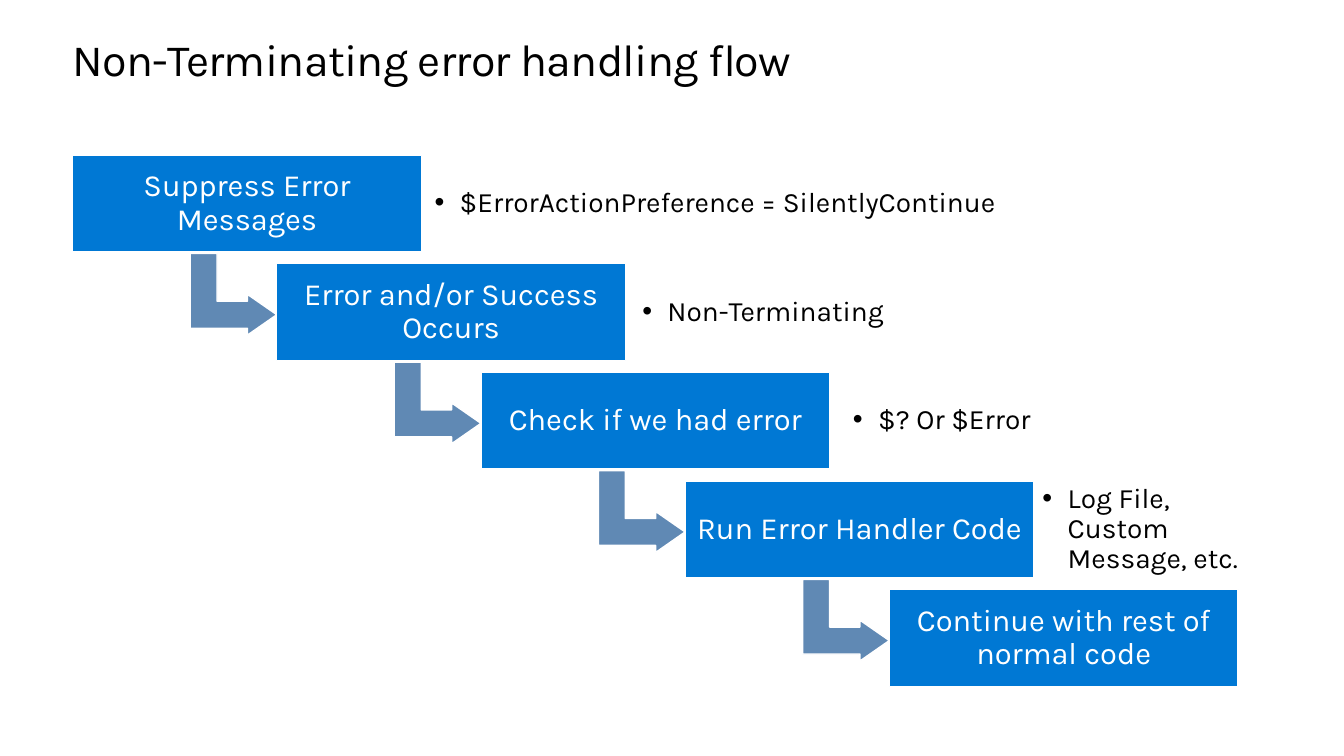
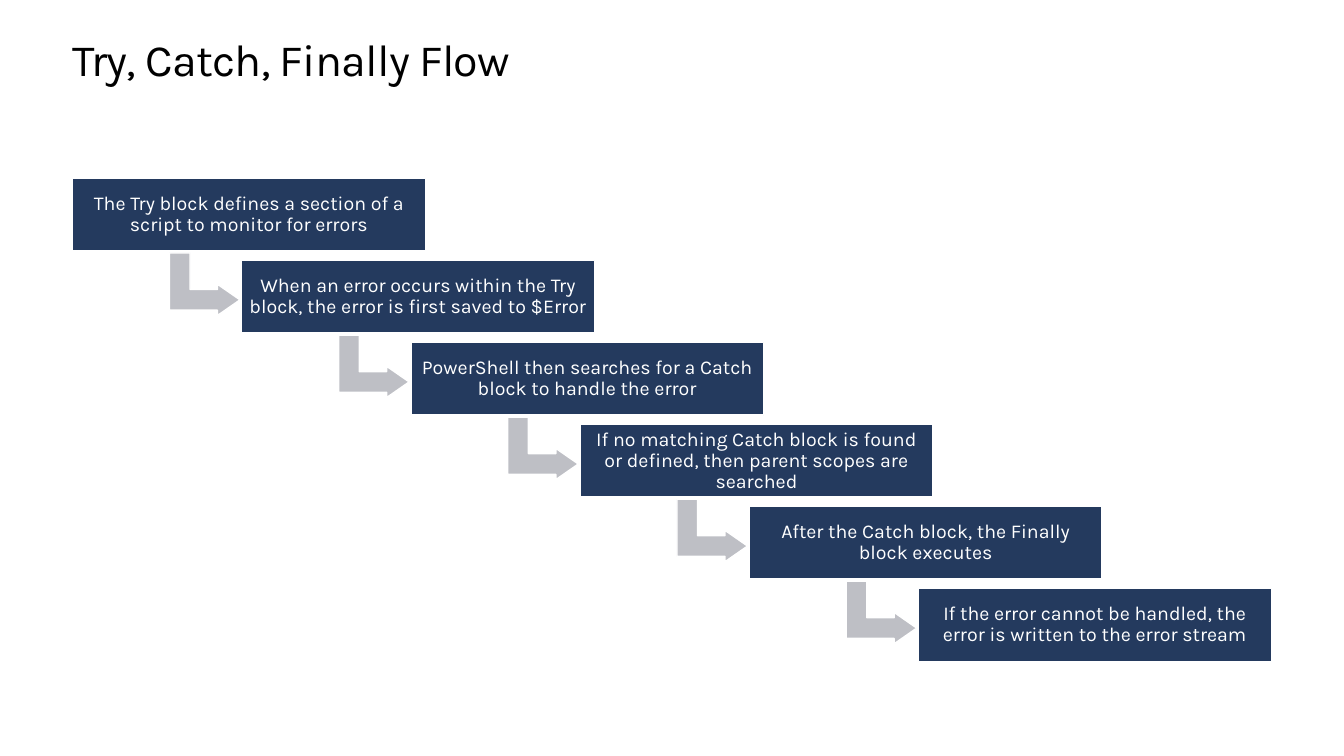
"""Build two slides that show error handling as descending steps."""
from typing import NamedTuple

from lxml.etree import SubElement
from pptx import Presentation
from pptx.dml.color import RGBColor
from pptx.enum.shapes import MSO_SHAPE
from pptx.enum.text import MSO_ANCHOR, MSO_AUTO_SIZE, PP_ALIGN
from pptx.oxml.ns import qn
from pptx.util import Inches, Pt

FONT_NAME = "Karla"
BLACK = RGBColor(0x00, 0x00, 0x00)
WHITE = RGBColor(0xFF, 0xFF, 0xFF)
BLUE = RGBColor(0x00, 0x78, 0xD4)
STEEL = RGBColor(0x60, 0x89, 0xB4)
NAVY = RGBColor(0x24, 0x3A, 0x5E)
GRAY = RGBColor(0xBE, 0xBF, 0xC5)

TITLE_ONLY_LAYOUT = 5
ARROW_ADJUSTMENTS = (0.33, 0.25, 0.36)
NOTE_HEIGHT = 0.78
NOTE_INSET = 0.08
NOTE_INDENT = 0.25


class StaircaseStyle(NamedTuple):
    """Geometry in inches, text size in points, and colours of a staircase."""

    first: tuple
    last: tuple
    box_size: tuple
    arrow_offset: tuple
    arrow_size: tuple
    inset: float
    text_size: int
    box_color: RGBColor
    arrow_color: RGBColor


ERROR_STYLE = StaircaseStyle(
    (0.72, 1.54), (8.82, 5.85), (3.46, 0.96), (1.19, 0.95), (0.81, 0.86),
    0.09, 22, BLUE, STEEL)
TRY_STYLE = StaircaseStyle(
    (0.72, 1.77), (9.11, 5.84), (3.5, 0.72), (1, 0.7), (0.62, 0.7),
    0.06, 14, NAVY, GRAY)

ERROR_STEPS = (
    "Suppress Error Messages",
    "Error and/or Success Occurs",
    "Check if we had error",
    "Run Error Handler Code",
    "Continue with rest of normal code",
)
ERROR_NOTES = (
    ("$ErrorActionPreference = SilentlyContinue", 4.23, 5.77),
    ("Non-Terminating", 6.29, 2.75),
    ("$? Or $Error", 8.38, 2.75),
    ("Log File, Custom Message, etc.", 10.26, 2.36),
)
TRY_STEPS = (
    "The Try block defines a section of a script to monitor for errors",
    "When an error occurs within the Try block, the error is first saved to $Error",
    "PowerShell then searches for a Catch block to handle the error",
    "If no matching Catch block is found or defined, then parent scopes are searched",
    "After the Catch block, the Finally block executes",
    "If the error cannot be handled, the error is written to the error stream",
)


def set_attributes(target, values):
    """Set each named attribute of the target."""
    for name, value in values.items():
        setattr(target, name, value)


def write_text(shape, text, size, color, inset=0, anchor=MSO_ANCHOR.MIDDLE,
               alignment=PP_ALIGN.LEFT, line_spacing=0.9):
    """Write one formatted paragraph in the shape and return it."""
    frame = shape.text_frame
    margins = ("margin_left", "margin_top", "margin_right", "margin_bottom")
    set_attributes(frame, dict.fromkeys(margins, Inches(inset)))
    set_attributes(frame, {"word_wrap": True, "vertical_anchor": anchor})
    paragraph = frame.paragraphs[0]
    set_attributes(paragraph, {"alignment": alignment, "line_spacing": line_spacing})
    run = paragraph.add_run()
    run.text = text
    set_attributes(run.font, {"name": FONT_NAME, "size": Pt(size)})
    run.font.color.rgb = color
    return paragraph


def add_titled_slide(presentation, text):
    """Add a slide with its title placed and formatted."""
    slide = presentation.slides.add_slide(
        presentation.slide_layouts[TITLE_ONLY_LAYOUT])
    title = slide.shapes.title
    set_attributes(title, {"left": Inches(0.72), "top": Inches(0.35),
                           "width": Inches(11.9), "height": Inches(0.5)})
    paragraph = write_text(title, text, 32, BLACK, anchor=MSO_ANCHOR.TOP,
                           line_spacing=Pt(36.2))
    paragraph.runs[0].font._element.set("spc", "-50")
    title.text_frame.auto_size = MSO_AUTO_SIZE.SHAPE_TO_FIT_TEXT
    return slide


def add_filled_shape(slide, kind, position, size, color):
    """Add a flat shape with a thin white outline."""
    shape = slide.shapes.add_shape(kind, *map(Inches, (*position, *size)))
    shape.shadow.inherit = False
    shape.fill.solid()
    shape.fill.fore_color.rgb = color
    shape.line.color.rgb = WHITE
    shape.line.width = Pt(1)
    return shape


def add_arrow(slide, position, size, color):
    """Add an arrow that goes down and then turns right."""
    arrow = add_filled_shape(slide, MSO_SHAPE.BENT_UP_ARROW, position, size, color)
    arrow.rotation = 90
    for index, value in enumerate(ARROW_ADJUSTMENTS):
        arrow.adjustments[index] = value


def step_position(style, index, count):
    """Return the left and top of one evenly spaced step."""
    return tuple(start + (end - start) * index / (count - 1)
                 for start, end in zip(style.first, style.last))


def add_staircase(slide, steps, style):
    """Add the step boxes with an arrow from each to the next."""
    for index, text in enumerate(steps):
        left, top = step_position(style, index, len(steps))
        if index < len(steps) - 1:
            across, down = style.arrow_offset
            add_arrow(slide, (left + across, top + down), style.arrow_size,
                      style.arrow_color)
        box = add_filled_shape(slide, MSO_SHAPE.RECTANGLE, (left, top),
                               style.box_size, style.box_color)
        write_text(box, text, style.text_size, WHITE, style.inset,
                   alignment=PP_ALIGN.CENTER)


def add_note(slide, text, left, top, width):
    """Add a bulleted note beside a step."""
    note = slide.shapes.add_textbox(*map(Inches, (left, top, width, NOTE_HEIGHT)))
    paragraph = write_text(note, text, 20, BLACK, NOTE_INSET)
    properties = paragraph._p.get_or_add_pPr()
    properties.set("marL", str(Inches(NOTE_INDENT)))
    properties.set("indent", str(-Inches(NOTE_INDENT)))
    SubElement(properties, qn("a:buFont")).set("typeface", "Arial")
    SubElement(properties, qn("a:buChar")).set("char", "•")


def add_notes(slide, notes, style, count):
    """Add the notes, each centred on the height of its step."""
    for index, (text, left, width) in enumerate(notes):
        top = step_position(style, index, count)[1]
        add_note(slide, text, left, top + (style.box_size[1] - NOTE_HEIGHT) / 2, width)


def main():
    """Build and save the presentation."""
    presentation = Presentation()
    set_attributes(presentation, {"slide_width": Inches(13.33),
                                  "slide_height": Inches(7.5)})
    error_slide = add_titled_slide(presentation, "Non-Terminating error handling flow")
    add_staircase(error_slide, ERROR_STEPS, ERROR_STYLE)
    add_notes(error_slide, ERROR_NOTES, ERROR_STYLE, len(ERROR_STEPS))
    try_slide = add_titled_slide(presentation, "Try, Catch, Finally Flow")
    add_staircase(try_slide, TRY_STEPS, TRY_STYLE)
    presentation.save("out.pptx")


if __name__ == "__main__":
    main()
